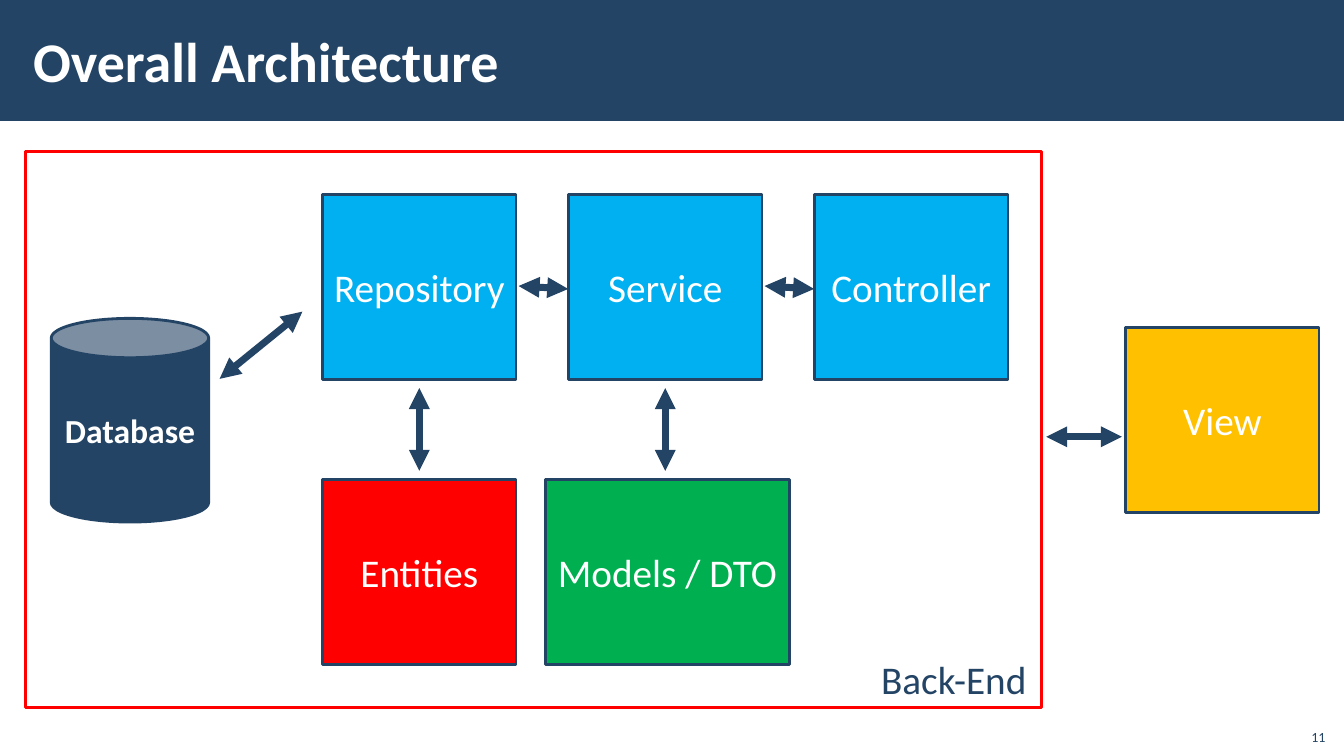
import pptx
import pptx.dml.color
import pptx.enum.shapes
import pptx.enum.text
import pptx.oxml.ns
import pptx.util
import lxml.etree

SHAPE = pptx.enum.shapes.MSO_SHAPE
ALIGN = pptx.enum.text.PP_ALIGN
ANCHOR = pptx.enum.text.MSO_ANCHOR
NAVY, WHITE, RED = "234465", "FFFFFF", "FF0000"
BLUE, GREEN, AMBER = "00B0F0", "00B050", "FFC000"


def color(value):
    return pptx.dml.color.RGBColor.from_string(value)


class Diagram:
    font = "Calibri"
    columns, rows = 160, 90

    def __init__(self, presentation):
        self.slide = presentation.slides.add_slide(presentation.slide_layouts[6])
        self.column = presentation.slide_width / self.columns
        self.row = presentation.slide_height / self.rows

    def place(self, *lengths):
        units = (self.column, self.row) * 2
        return [round(length * unit) for length, unit in zip(lengths, units)]

    def set_text(self, shape, text, size, ink, bold, align, anchor):
        frame = shape.text_frame
        frame.word_wrap = True
        frame.vertical_anchor = anchor
        paragraph = frame.paragraphs[0]
        paragraph.alignment = align
        run = paragraph.add_run()
        run.text = text
        run.font.name = self.font
        run.font.size = pptx.util.Pt(size)
        run.font.bold = bold
        run.font.color.rgb = color(ink)

    def block(self, kind, area, fill=None, line=None, text=None, size=28, bold=False):
        shape = self.slide.shapes.add_shape(kind, *self.place(*area))
        shape.shadow.inherit = False
        if fill:
            shape.fill.solid()
            shape.fill.fore_color.rgb = color(fill)
        else:
            shape.fill.background()
        if line:
            shape.line.color.rgb = color(line)
            shape.line.width = pptx.util.Pt(2)
        else:
            shape.line.fill.background()
        if text:
            self.set_text(shape, text, size, WHITE, bold, ALIGN.CENTER, ANCHOR.MIDDLE)

    def label(self, area, text, size, ink=NAVY, bold=False,
              align=ALIGN.LEFT, anchor=ANCHOR.TOP, inset=1.2):
        shape = self.slide.shapes.add_textbox(*self.place(*area))
        self.set_text(shape, text, size, ink, bold, align, anchor)
        shape.text_frame.margin_left = shape.text_frame.margin_right = round(inset * self.column)

    def arrow(self, start, end):
        connector = self.slide.shapes.add_connector(
            pptx.enum.shapes.MSO_CONNECTOR.STRAIGHT, *self.place(*start, *end))
        connector.line.color.rgb = color(NAVY)
        connector.line.width = pptx.util.Pt(5)
        properties = connector.element.spPr
        outline = properties.find(pptx.oxml.ns.qn("a:ln"))
        for tip in ("a:headEnd", "a:tailEnd"):
            lxml.etree.SubElement(outline, pptx.oxml.ns.qn(tip), type="triangle")
        lxml.etree.SubElement(properties, pptx.oxml.ns.qn("a:effectLst"))


def main():
    presentation = pptx.Presentation()
    presentation.slide_width = pptx.util.Inches(13.33)
    presentation.slide_height = pptx.util.Inches(7.5)
    diagram = Diagram(presentation)

    diagram.block(SHAPE.RECTANGLE, (0, 0, 160, 14.4), NAVY)
    diagram.label((2.5, 1.3, 127.5, 11.6), "Overall Architecture", 40, WHITE, True,
                  anchor=ANCHOR.MIDDLE, inset=1.44)
    diagram.block(SHAPE.RECTANGLE, (3, 18, 121, 66.25), line=RED)
    diagram.block(SHAPE.CAN, (6.1, 37.9, 18.75, 24.25), NAVY, NAVY, "Database", 24, True)

    left, pitch, width, height = 38.4, 29.28, 23.04, 22
    upper, lower = 23.16, 57.1
    for index, layer in enumerate(("Repository", "Service", "Controller")):
        diagram.block(SHAPE.RECTANGLE, (left + index * pitch, upper, width, height),
                      BLUE, NAVY, layer)
    for text, fill, area in (
        ("Entities", RED, (left, lower, width, height)),
        ("Models / DTO", GREEN, (64.9, lower, 29.1, height)),
        ("View", AMBER, (134, 39, width, height)),
    ):
        diagram.block(SHAPE.RECTANGLE, area, fill, NAVY, text)

    for index in range(2):
        center = left + width / 2 + index * pitch
        diagram.arrow((center, 56.05), (center, 46.2))
        gap = left + width + index * pitch
        diagram.arrow((gap + 0.3, 34.05), (gap + 6.2, 34.4))
    diagram.arrow((26.15, 45.1), (36, 37.1))
    diagram.arrow((124.55, 52), (133.55, 52))

    diagram.label((103.7, 77.4, 20.4, 6.85), "Back-End", 28)
    diagram.label((154.2, 85.45, 4.8, 3.85), "11", 10,
                  align=ALIGN.RIGHT, anchor=ANCHOR.BOTTOM)
    presentation.save("out.pptx")


if __name__ == "__main__":
    main()
